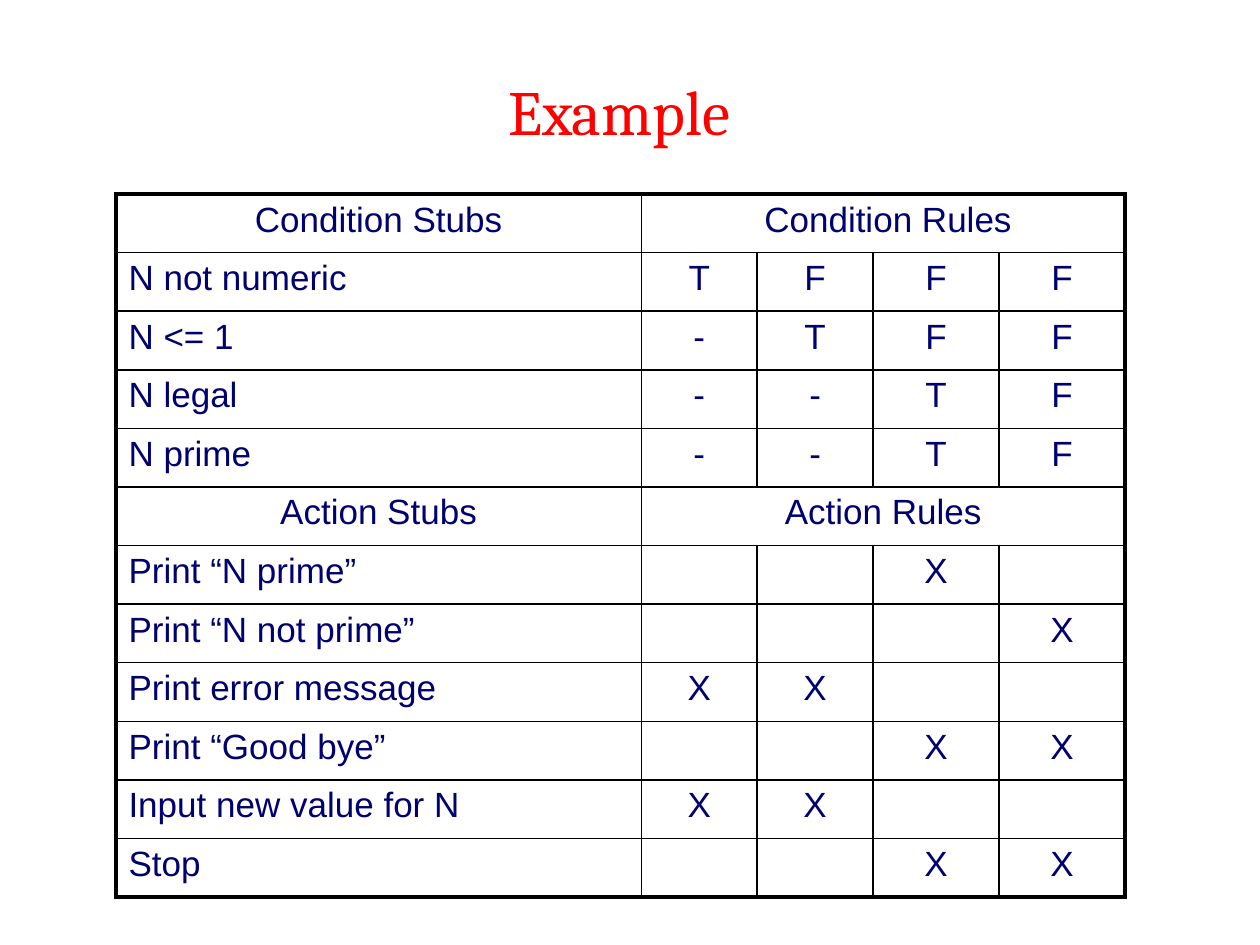
from lxml import etree
from pptx import Presentation
from pptx.dml.color import RGBColor
from pptx.enum.text import MSO_AUTO_SIZE, PP_ALIGN
from pptx.oxml.ns import qn
from pptx.util import Inches, Pt

CENTER, LEFT = PP_ALIGN.CENTER, PP_ALIGN.LEFT

TITLE = "Example"
# Each section: stub heading, rules heading, then (stub, one mark per rule; space = empty)
SECTIONS = [
    ("Condition Stubs", " Condition Rules", [
        ("N not numeric", "TFFF"),
        ("N <= 1", "-TFF"),
        ("N legal", "--TF"),
        ("N prime", "--TF"),
    ]),
    ("Action Stubs", "Action Rules", [
        ("Print “N prime”", "  X "),
        ("Print “N not prime”", "   X"),
        ("Print error message", "XX  "),
        ("Print “Good bye”", "  XX"),
        ("Input new value for N", "XX  "),
        ("Stop", "  XX"),
    ]),
]
COLUMN_WIDTHS = [4.17, 0.92, 0.92, 1, 1]
TABLE_BOX = (0.92, 1.54, 8, 5.58)
TITLE_BOX = (1.8, 0.53, 6.23, 0.71)

THEME = {
    "title": ("Cambria", 36, "FF0000"),
    "cell": ("Arial", 20, "010070"),
    "border": "000000",
    "inner": 1,
    "outer": 2.25,
}


def write(text_frame, text, style, align):
    font_name, size, color = THEME[style]
    text_frame.text = text
    para = text_frame.paragraphs[0]
    para.alignment = align
    for span in para.runs:
        span.font.name = font_name
        span.font.size = Pt(size)
        span.font.color.rgb = RGBColor.from_string(color)


def set_border(cell, side, width):
    """Draw one side (L, R, T or B) of a cell, width in points."""
    line = etree.SubElement(cell._tc.get_or_add_tcPr(), qn(f"a:ln{side}"), w=str(Pt(width)))
    fill = etree.SubElement(line, qn("a:solidFill"))
    etree.SubElement(fill, qn("a:srgbClr"), val=THEME["border"])


def frame_cell(cell, row, column, last_row, last_column):
    """Thick lines on the table's edge, thin ones inside, none within a merged cell."""
    end = column + cell.span_width - 1 if cell.is_merge_origin else column
    on_edge = {"L": column == 0, "R": end == last_column,
               "T": row == 0, "B": row == last_row}
    for side, outer in on_edge.items():
        if cell.is_spanned and side in "LR" and not outer:
            continue
        set_border(cell, side, THEME["outer" if outer else "inner"])
    cell.fill.background()


def add_title(page):
    box = page.shapes.add_textbox(*map(Inches, TITLE_BOX))
    box.text_frame.word_wrap = True
    box.text_frame.auto_size = MSO_AUTO_SIZE.SHAPE_TO_FIT_TEXT
    write(box.text_frame, TITLE, "title", CENTER)


def add_decision_table(page):
    row_count = sum(1 + len(rules) for _, _, rules in SECTIONS)
    column_count = len(COLUMN_WIDTHS)
    table = page.shapes.add_table(row_count, column_count, *map(Inches, TABLE_BOX)).table
    table.first_row = table.horz_banding = False
    for column, width in zip(table.columns, COLUMN_WIDTHS):
        column.width = Inches(width)

    row = 0
    for stub_heading, rules_heading, rules in SECTIONS:
        table.cell(row, 1).merge(table.cell(row, column_count - 1))
        write(table.cell(row, 0).text_frame, stub_heading, "cell", CENTER)
        write(table.cell(row, 1).text_frame, rules_heading, "cell", CENTER)
        for row, (stub, marks) in enumerate(rules, row + 1):
            write(table.cell(row, 0).text_frame, stub, "cell", LEFT)
            for column, mark in enumerate(marks, 1):
                write(table.cell(row, column).text_frame, mark.strip(), "cell", CENTER)
        row += 1

    for row in range(row_count):
        for column in range(column_count):
            frame_cell(table.cell(row, column), row, column, row_count - 1, column_count - 1)


def main():
    deck = Presentation()
    deck.slide_width, deck.slide_height = Inches(10), Inches(7.5)
    page = deck.slides.add_slide(deck.slide_layouts[6])
    add_decision_table(page)
    add_title(page)
    deck.save("out.pptx")


if __name__ == "__main__":
    main()
